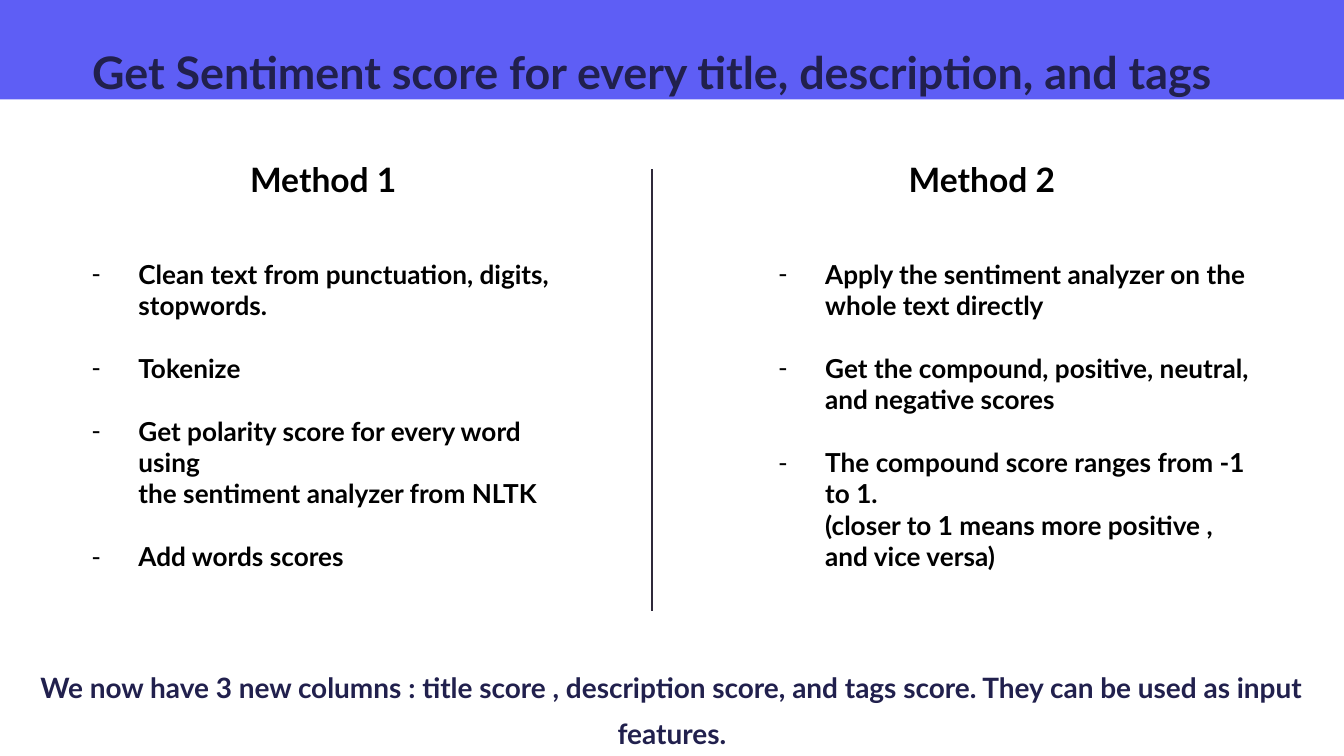
import pptx
import pptx.util
import pptx.dml.color
import pptx.enum.shapes
import pptx.enum.text
import pptx.oxml.ns
import lxml.etree

Inches = pptx.util.Inches
Pt = pptx.util.Pt
qn = pptx.oxml.ns.qn
CENTER = pptx.enum.text.PP_ALIGN.CENTER
LEFT = pptx.enum.text.PP_ALIGN.LEFT

FONT = "Lato"
BLACK, NAVY, VIOLET, RULE = "000000", "21204D", "5E5EF5", "2F293A"

TITLE = "Get Sentiment score for every title, description, and tags"
FOOTER = ("We now have 3 new columns : title score , description score, "
          "and tags score. They can be used as input features.")
METHODS = [
    {"heading": "Method 1", "heading_left": 1.32, "list_left": 0.43, "steps": [
        ["Clean text from punctuation, digits, stopwords."],
        ["Tokenize"],
        ["Get polarity score for every word using",
         "the sentiment analyzer from NLTK"],
        ["Add words scores"],
    ]},
    {"heading": "Method 2", "heading_left": 6.22, "list_left": 5.54, "steps": [
        ["Apply the sentiment analyzer on the whole text directly"],
        ["Get the compound, positive, neutral, and negative scores"],
        ["The compound score ranges from -1 to 1.",
         "(closer to 1 means more positive , and vice versa)"],
    ]},
]


def rgb(value):
    return pptx.dml.color.RGBColor.from_string(value)


def place(sp, left, top, width, height):
    sp.left, sp.top = Inches(left), Inches(top)
    sp.width, sp.height = Inches(width), Inches(height)
    tf = sp.text_frame
    tf.word_wrap = True
    tf.auto_size = pptx.enum.text.MSO_AUTO_SIZE.NONE
    tf.vertical_anchor = pptx.enum.text.MSO_ANCHOR.TOP
    tf.margin_left = tf.margin_right = Inches(0.1)
    tf.margin_top = tf.margin_bottom = Inches(0.1)
    return tf


def write(p, text, size, color, align=CENTER, spacing=1.0, before=0):
    p.alignment, p.line_spacing, p.space_before = align, spacing, Pt(before)
    r = p.add_run()
    r.text = text
    r.font.name, r.font.size, r.font.bold = FONT, Pt(size), True
    r.font.color.rgb = rgb(color)


def indent(p, left, first, dash=False):
    pPr = p._p.get_or_add_pPr()
    pPr.set("marL", str(Inches(left)))
    pPr.set("indent", str(Inches(first)))
    if dash:
        lxml.etree.SubElement(pPr, qn("a:buFont")).set("typeface", FONT)
        lxml.etree.SubElement(pPr, qn("a:buChar")).set("char", "-")
    else:
        lxml.etree.SubElement(pPr, qn("a:buNone"))


def write_steps(tf, steps):
    lines = [(i, j, text) for i, step in enumerate(steps)
             for j, text in enumerate(step)]
    for n, (i, j, text) in enumerate(lines):
        p = tf.add_paragraph() if n else tf.paragraphs[0]
        write(p, text, 14, BLACK, LEFT, before=16.8 if i and j == 0 else 0)
        indent(p, 0.5, 0 if j else -0.35, dash=j == 0)


prs = pptx.Presentation()
prs.slide_width = Inches(10)
prs.slide_height = prs.slide_width * 9 // 16
s = prs.slides.add_slide(prs.slide_layouts.get_by_name("Comparison"))

band = s.shapes.add_shape(pptx.enum.shapes.MSO_SHAPE.RECTANGLE,
                          0, 0, prs.slide_width, Inches(0.74))
band.shadow.inherit = False
band.fill.solid()
band.fill.fore_color.rgb = rgb(VIOLET)
band.line.fill.background()
s.shapes._spTree.insert(2, band._element)

tf = place(s.shapes.title, 0.22, 0.09, 9.26, 0.61)
write(tf.paragraphs[0], TITLE, 24, NAVY, spacing=1.36)

bodies = {sp.placeholder_format.idx: sp for sp in s.placeholders}
for k, method in enumerate(METHODS):
    tf = place(bodies[2 * k + 1], method["heading_left"], 1.08, 2.17, 0.5)
    write(tf.paragraphs[0], method["heading"], 18, BLACK)
    indent(tf.paragraphs[0], 0, 0)
    tf = place(bodies[2 * k + 2], method["list_left"], 1.82, 3.94, 2.32)
    write_steps(tf, method["steps"])

divider = s.shapes.add_connector(pptx.enum.shapes.MSO_CONNECTOR.STRAIGHT,
                                 Inches(4.85), Inches(1.26),
                                 Inches(4.85), Inches(4.55))
divider.line.color.rgb = rgb(RULE)
divider.line.width = Pt(0.75)
lxml.etree.SubElement(divider._element.spPr, qn("a:effectLst"))

footer = s.shapes.add_textbox(0, 0, 0, 0)
tf = place(footer, 0.11, 4.8, 9.78, 0.45)
write(tf.paragraphs[0], FOOTER, 15, NAVY, spacing=1.36)

prs.save("out.pptx")
